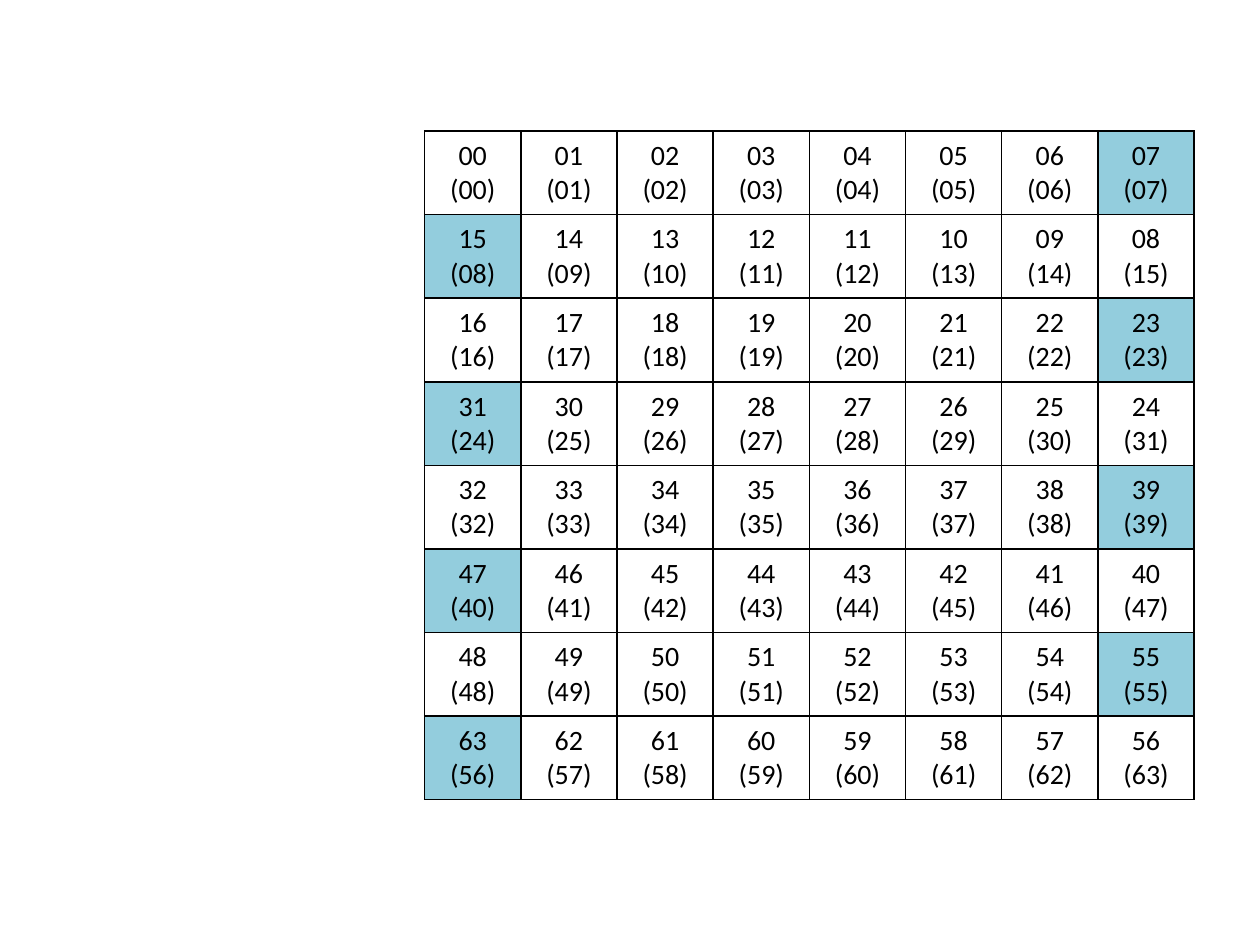
from dataclasses import dataclass

import lxml.etree
import pptx
import pptx.dml.color
import pptx.enum.text
import pptx.oxml.ns
import pptx.table
import pptx.util


@dataclass(frozen=True)
class Theme:
    font: str = "Calibri"
    text_size: int = 16
    ink: str = "000000"
    plain: str = "FFFFFF"
    turn: str = "93CDDD"
    border_width: int = 1


@dataclass(frozen=True)
class Grid:
    """Place as shares of the slide's size, and the count of cells a side."""
    left: float = 0.337
    top: float = 1.04 / 7.5
    width: float = 0.611
    height: float = 5.19 / 7.5
    size: int = 8
    row_height: float = 0.58 / 7.5


@dataclass(frozen=True)
class GridCell:
    row: int
    column: int
    snake: int
    raster: int
    is_turn: bool


THEME = Theme()
GRID = Grid()


def snake_cells(size: int) -> list[GridCell]:
    """Number the cells in alternating directions, marking each row's last step."""
    cells = []
    for row in range(size):
        for column in range(size):
            step = size - 1 - column if row % 2 else column
            cells.append(GridCell(row, column, row * size + step,
                                  row * size + column, step == size - 1))
    return cells


def write_text(frame, text: str, *, font: str, size: float, color: str,
               align=pptx.enum.text.PP_ALIGN.CENTER) -> None:
    frame.text = text
    for paragraph in frame.paragraphs:
        paragraph.alignment = align
        for run in paragraph.runs:
            run.font.name = font
            run.font.size = pptx.util.Pt(size)
            run.font.color.rgb = pptx.dml.color.RGBColor.from_string(color)


def outline(cell: pptx.table._Cell, color: str, width: float) -> None:
    """Draw all four borders; they must come before the fill in the XML."""
    qn = pptx.oxml.ns.qn
    properties = cell._tc.get_or_add_tcPr()
    for position, side in enumerate(("a:lnL", "a:lnR", "a:lnT", "a:lnB")):
        line = lxml.etree.Element(qn(side), w=str(pptx.util.Pt(width)))
        fill = lxml.etree.SubElement(line, qn("a:solidFill"))
        lxml.etree.SubElement(fill, qn("a:srgbClr"), val=color)
        properties.insert(position, line)


def draw_cell(cell: pptx.table._Cell, content: GridCell) -> None:
    cell.margin_left = cell.margin_right = pptx.util.Inches(0.12)
    cell.margin_top = cell.margin_bottom = pptx.util.Inches(0.06)
    cell.fill.solid()
    cell.fill.fore_color.rgb = pptx.dml.color.RGBColor.from_string(
        THEME.turn if content.is_turn else THEME.plain)
    write_text(cell.text_frame, f"{content.snake:02}\n({content.raster:02})",
               font=THEME.font, size=THEME.text_size, color=THEME.ink)
    outline(cell, THEME.ink, THEME.border_width)


def main() -> None:
    deck = pptx.Presentation()
    deck.slide_width = pptx.util.Inches(10)
    deck.slide_height = pptx.util.Inches(7.5)
    slide = deck.slides.add_slide(deck.slide_layouts[6])

    frame = slide.shapes.add_table(
        GRID.size, GRID.size,
        int(GRID.left * deck.slide_width), int(GRID.top * deck.slide_height),
        int(GRID.width * deck.slide_width), int(GRID.height * deck.slide_height))
    numbering = frame.table
    numbering.first_row = numbering.horz_banding = False
    for row in numbering.rows:
        row.height = int(GRID.row_height * deck.slide_height)
    frame.height = int(GRID.height * deck.slide_height)
    for content in snake_cells(GRID.size):
        draw_cell(numbering.cell(content.row, content.column), content)

    deck.save("out.pptx")


if __name__ == "__main__":
    main()
